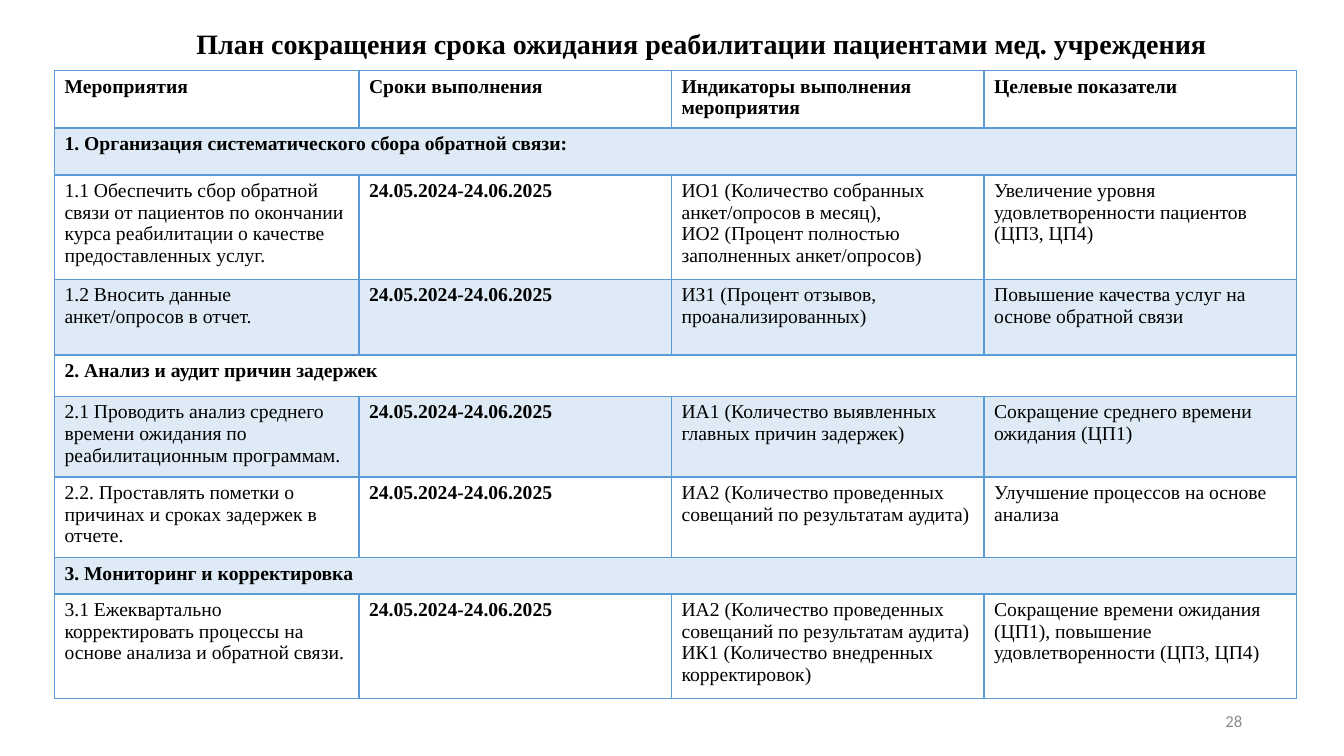
from lxml import etree
from pptx import Presentation
from pptx.dml.color import RGBColor
from pptx.enum.text import MSO_ANCHOR, PP_ALIGN
from pptx.oxml.ns import qn
from pptx.util import Inches, Pt

MIDDLE = MSO_ANCHOR.MIDDLE
LEFT, RIGHT = PP_ALIGN.LEFT, PP_ALIGN.RIGHT
SERIF = "Times New Roman"
BLACK, BLUE, GRAY = "000000", "5B9BD5", "8C8C8C"
BAND_OPACITY = 20
PERIOD = "24.05.2024-24.06.2025"
COLUMN_WIDTHS = [3.02, 3.1, 3.1, 3.1]

PLAN = [
    (0.54, ["Мероприятия", "Сроки выполнения",
            "Индикаторы выполнения мероприятия", "Целевые показатели"]),
    (0.47, ["1. Организация систематического сбора обратной связи:"]),
    (0.96, ["1.1 Обеспечить сбор обратной связи от пациентов по окончании "
            "курса реабилитации о качестве предоставленных услуг.",
            PERIOD,
            "ИО1 (Количество собранных анкет/опросов в месяц),\n"
            "ИО2 (Процент полностью заполненных анкет/опросов)",
            "Увеличение уровня удовлетворенности пациентов (ЦП3, ЦП4)"]),
    (0.75, ["1.2 Вносить данные анкет/опросов в отчет.",
            PERIOD,
            "ИЗ1 (Процент отзывов, проанализированных)",
            "Повышение качества услуг на основе обратной связи"]),
    (0.41, ["2. Анализ и аудит причин задержек"]),
    (0.75, ["2.1 Проводить анализ среднего времени ожидания по "
            "реабилитационным программам.",
            PERIOD,
            "ИА1 (Количество выявленных главных причин задержек)",
            "Сокращение среднего времени ожидания (ЦП1)"]),
    (0.75, ["2.2. Проставлять пометки о причинах и сроках задержек в отчете.",
            PERIOD,
            "ИА2 (Количество проведенных совещаний по результатам аудита)",
            "Улучшение процессов на основе анализа"]),
    (0.36, ["3. Мониторинг и корректировка"]),
    (0.96, ["3.1 Ежеквартально корректировать процессы на основе анализа "
            "и обратной связи.",
            PERIOD,
            "ИА2 (Количество проведенных совещаний по результатам аудита)\n"
            "ИК1 (Количество внедренных корректировок)",
            "Сокращение времени ожидания (ЦП1), повышение "
            "удовлетворенности (ЦП3, ЦП4)"]),
]


def rgb(value):
    """Turn a hex string into a colour."""
    return RGBColor.from_string(value)


def write(frame, text, size, font, color, bold=False, align=LEFT, spacing=1.0):
    """Fill a text frame with one paragraph for each line of text."""
    frame.word_wrap = True
    for index, line in enumerate(text.split("\n")):
        paragraph = frame.add_paragraph() if index else frame.paragraphs[0]
        paragraph.alignment = align
        paragraph.line_spacing = spacing
        run = paragraph.add_run()
        run.text = line
        run.font.size = Pt(size)
        run.font.name = font
        run.font.bold = bold
        run.font.color.rgb = rgb(color)


def add_label(slide, box, *args, **options):
    """Place a vertically centred line of text in the box."""
    label = slide.shapes.add_textbox(*map(Inches, box))
    label.text_frame.vertical_anchor = MIDDLE
    write(label.text_frame, *args, **options)


def set_borders(cell, bottom_width):
    """Draw blue borders on the four sides of a cell."""
    properties = cell._tc.get_or_add_tcPr()
    for side, width in (("L", 1), ("R", 1), ("T", 1), ("B", bottom_width)):
        line = etree.SubElement(properties, qn(f"a:ln{side}"), w=str(Pt(width)))
        solid = etree.SubElement(line, qn("a:solidFill"))
        etree.SubElement(solid, qn("a:srgbClr"), val=BLUE)


def set_band(cell, banded):
    """Tint a banded cell with translucent blue and leave others clear."""
    if not banded:
        cell.fill.background()
        return
    cell.fill.solid()
    cell.fill.fore_color.rgb = rgb(BLUE)
    color = cell._tc.tcPr.find(qn("a:solidFill")).find(qn("a:srgbClr"))
    etree.SubElement(color, qn("a:alpha"), val=str(BAND_OPACITY * 1000))


def add_plan(slide, left, top):
    """Build the plan table from its top left corner."""
    height = sum(row_height for row_height, _ in PLAN)
    plan = slide.shapes.add_table(
        len(PLAN), len(COLUMN_WIDTHS), Inches(left), Inches(top),
        Inches(sum(COLUMN_WIDTHS)), Inches(height)).table
    plan.first_row = plan.horz_banding = False
    for column, width in zip(plan.columns, COLUMN_WIDTHS):
        column.width = Inches(width)
    for number, (row_height, texts) in enumerate(PLAN):
        plan.rows[number].height = Inches(row_height)
        is_header, is_section = number == 0, len(texts) == 1
        for cell in plan.rows[number].cells:
            set_borders(cell, 2 if is_header else 1)
            set_band(cell, number % 2 == 1)
        if is_section:
            plan.cell(number, 0).merge(plan.cell(number, len(COLUMN_WIDTHS) - 1))
        for position, text in enumerate(texts):
            bold = is_header or is_section or text == PERIOD
            write(plan.cell(number, position).text_frame, text, 14, SERIF,
                  BLACK, bold)


def build_plan_slide(deck):
    """Add the slide with the title, the plan and the page number."""
    slide = deck.slides.add_slide(deck.slide_layouts[6])
    add_label(slide, (1.85, 0.15, 10.32, 0.6),
              "План сокращения срока ожидания реабилитации пациентами "
              "мед. учреждения", 20, SERIF, BLACK, bold=True, spacing=0.9)
    add_plan(slide, 0.54, 0.7)
    add_label(slide, (9.42, 6.95, 3, 0.4), "28", 12, "Calibri", GRAY, align=RIGHT)


def main():
    """Create and save the presentation."""
    deck = Presentation()
    deck.slide_width, deck.slide_height = Inches(13.33), Inches(7.5)
    build_plan_slide(deck)
    deck.save("out.pptx")


if __name__ == "__main__":
    main()
